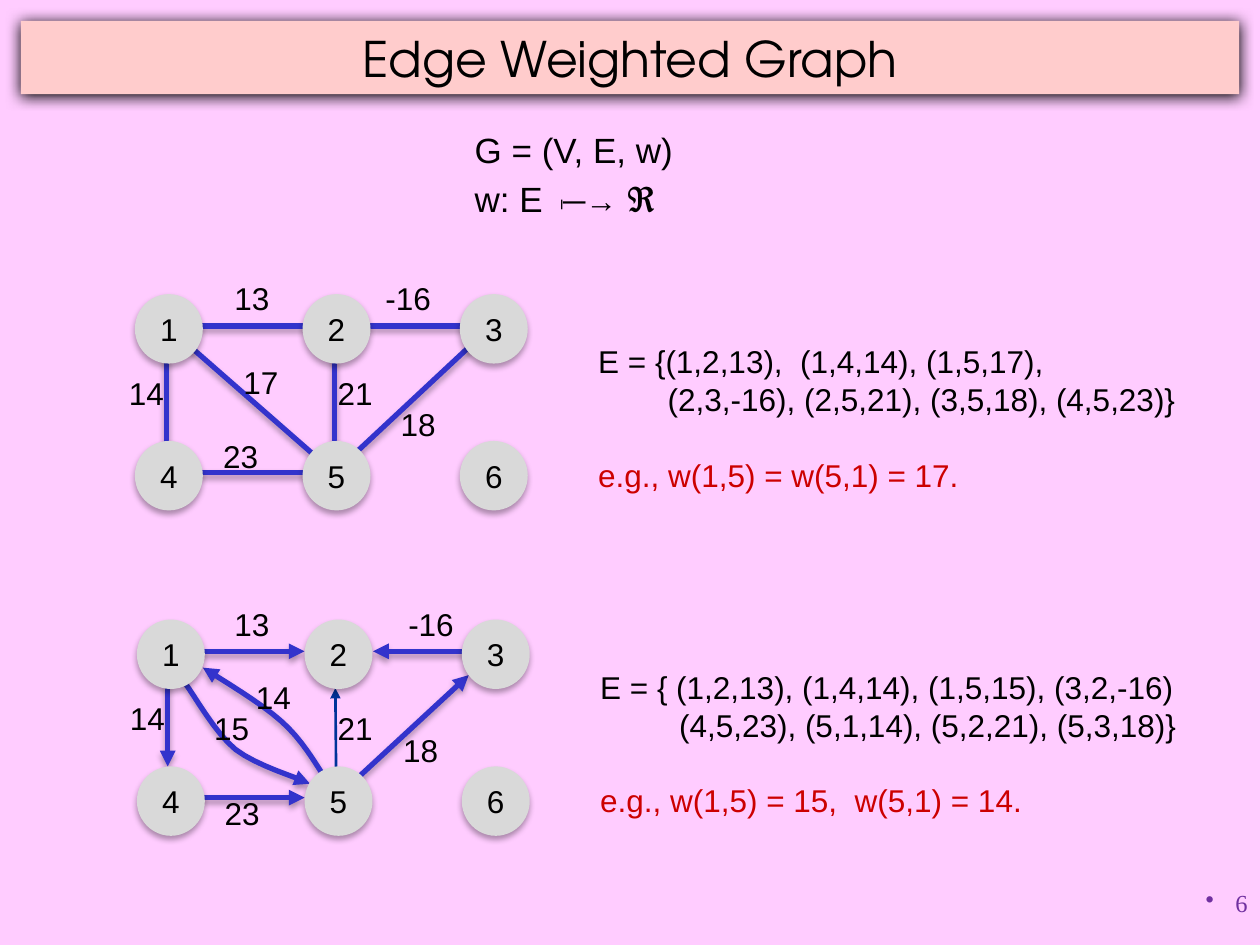
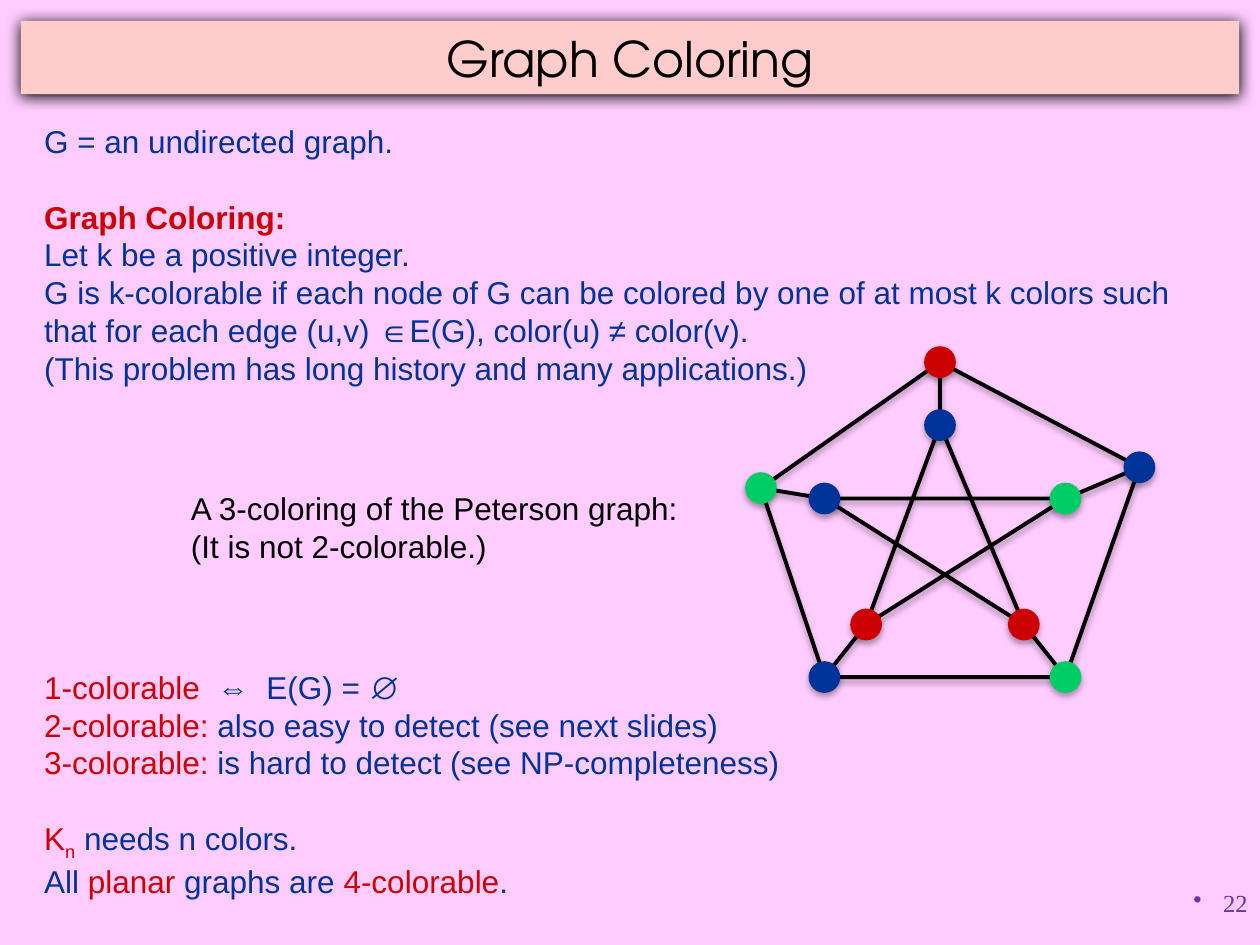
"""Build two slides on weighted graphs and graph coloring."""
from lxml import etree
from pptx import Presentation
from pptx.dml.color import RGBColor
from pptx.enum.shapes import MSO_CONNECTOR, MSO_SHAPE
from pptx.enum.text import MSO_ANCHOR, MSO_AUTO_SIZE, PP_ALIGN
from pptx.oxml.ns import qn
from pptx.util import Cm, Pt

STRAIGHT = MSO_CONNECTOR.STRAIGHT
OVAL = MSO_SHAPE.OVAL
MIDDLE = MSO_ANCHOR.MIDDLE
NO_AUTOFIT = MSO_AUTO_SIZE.NONE
LEFT, CENTER, RIGHT = PP_ALIGN.LEFT, PP_ALIGN.CENTER, PP_ALIGN.RIGHT

COLORS = {
    "background": "FFCCFF", "band": "FFCCCC", "node": "D9D9D9", "edge": "3333CC",
    "black": "000000", "red": "CC0000", "navy": "003399", "green": "00CC66",
    "purple": "7030A0",
}
BLANK_LINE = 21.5
SOFT_SHADOW = (32, 3.5, 2.2)
BAND_SHADOW = (100, 8.5, 1)


def write(shape, runs, size=18, font="Arial", color="black", bold=False, align=LEFT,
          wrap=False, before=0, indent=0, bullet=None):
    frame = shape.text_frame
    frame.word_wrap = wrap
    paragraph = frame.paragraphs[0]
    if paragraph.runs:
        paragraph = frame.add_paragraph()
    properties = paragraph._p.get_or_add_pPr()
    if indent:
        properties.set("marL", str(Cm(indent)))
    if bullet:
        properties.set("indent", str(-Cm(indent)))
        etree.SubElement(properties, qn("a:buChar")).set("char", bullet)
    paragraph.alignment = align
    if before:
        paragraph.space_before = Pt(before)
    for text, changes in [(runs, {})] if isinstance(runs, str) else runs:
        run = paragraph.add_run()
        run.text = text
        run.font.name = font
        run.font.size = Pt(changes.get("size", size))
        run.font.bold = changes.get("bold", bold)
        run.font.color.rgb = RGBColor.from_string(COLORS[changes.get("color", color)])
        if "baseline" in changes:
            run._r.get_or_add_rPr().set("baseline", str(changes["baseline"] * 1000))


def style(shape, fill=None, line=None, width=3, shadow=SOFT_SHADOW, arrow=False):
    if fill:
        shape.fill.solid()
        shape.fill.fore_color.rgb = RGBColor.from_string(COLORS[fill])
    if line:
        shape.line.color.rgb = RGBColor.from_string(COLORS[line])
        shape.line.width = Pt(width)
    else:
        shape.line.fill.background()
    properties = shape._element.spPr
    if arrow:
        etree.SubElement(properties.find(qn("a:ln")), qn("a:tailEnd")).set("type", "triangle")
    effects = etree.SubElement(properties, qn("a:effectLst"))
    if shadow:
        opacity, blur, distance = shadow
        outer = etree.SubElement(
            effects, qn("a:outerShdw"), blurRad=str(Pt(blur)), dist=str(Pt(distance)),
            dir="5400000", algn="ctr", rotWithShape="0")
        tint = etree.SubElement(outer, qn("a:srgbClr"), val=COLORS["black"])
        etree.SubElement(tint, qn("a:alpha"), val=str(opacity * 1000))


presentation = Presentation()
presentation.slide_width, presentation.slide_height = Cm(25.4), Cm(19.05)
background = presentation.slide_master.background.fill
background.solid()
background.fore_color.rgb = RGBColor.from_string(COLORS["background"])

slides = []
for heading, number in [("Edge Weighted Graph", "6"), ("Graph Coloring", "22")]:
    slide = presentation.slides.add_slide(presentation.slide_layouts[5])
    title = slide.shapes.title
    title.left, title.top, title.width, title.height = Cm(0.42), Cm(0.42), Cm(24.56), Cm(1.48)
    title.text_frame.auto_size = NO_AUTOFIT
    title.text_frame.vertical_anchor = MIDDLE
    style(title, fill="band", shadow=BAND_SHADOW)
    write(title, heading, size=28, font="TeX Gyre Adventor", align=CENTER, wrap=True)
    footer = slide.shapes.add_textbox(Cm(20.12), Cm(17.78), Cm(5.28), Cm(1.27))
    write(footer, number, size=14, font="Times New Roman", color="purple", align=RIGHT,
          wrap=True, indent=0.6, bullet="•")
    slides.append(slide)
weighted_slide, coloring_slide = slides

shapes = weighted_slide.shapes
definition = shapes.add_textbox(Cm(9.32), Cm(2.46), Cm(4.95), Cm(2.11))
write(definition, "G = (V, E, w)", size=20)
write(definition, [
    ("w: E", {"size": 20}), ("  ", {}), ("|", {"size": 10, "bold": True, "baseline": 26}),
    ("─→ ", {}), ("ℜ", {"size": 24})])

node_places = {
    str(row * 3 + column + 1): (left, top)
    for row, top in enumerate((5.93, 8.89))
    for column, left in enumerate((2.72, 6.1, 9.27))
}
undirected_edges = [
    [coordinate + 0.64 for node in pair for coordinate in node_places[node]]
    for pair in ("45", "35", "14", "15", "25", "23", "12")
]
directed_edges = [
    (3.38, 13.13, 6.14, 13.13), (9.95, 13.13, 7.52, 13.13), (3.38, 13.77, 3.38, 15.45),
    (3.38, 16.08, 6.14, 16.08), (6.78, 16.08, 9.45, 13.61),
]
for edges, arrow in [(undirected_edges, False), (directed_edges, True)]:
    for edge in edges:
        connector = shapes.add_connector(STRAIGHT, *[Cm(value) for value in edge])
        style(connector, line="edge", arrow=arrow)
thin_edge = shapes.add_connector(STRAIGHT, Cm(6.78), Cm(16.08), Cm(6.76), Cm(13.87))
style(thin_edge, line="navy", width=1.5, shadow=None, arrow=True)

curved_edges = [
    [(6.5, 15.6), (6.38, 15.42), (6.07, 14.88), (5.66, 14.53),
     (5.26, 14.17), (4.42, 13.67), (4.09, 13.46)],
    [(3.73, 13.77), (3.94, 14.05), (4.34, 14.78), (4.75, 15.11),
     (5.18, 15.44), (5.99, 15.67), (6.25, 15.8)],
]
for controls in curved_edges:
    points = []
    for start in (0, 3):
        for step in range(1, 9):
            t = step / 8
            weights = ((1 - t) ** 3, 3 * t * (1 - t) ** 2, 3 * t ** 2 * (1 - t), t ** 3)
            points.append([
                Cm(sum(weight * control[axis]
                       for weight, control in zip(weights, controls[start:start + 4])))
                for axis in (0, 1)])
    builder = shapes.build_freeform(Cm(controls[0][0]), Cm(controls[0][1]))
    builder.add_line_segments(points, close=False)
    curve = builder.convert_to_shape()
    curve.fill.background()
    style(curve, line="edge", arrow=True)

for shift_right, shift_down in [(0, 0), (0.04, 6.56)]:
    for label, (left, top) in node_places.items():
        node = shapes.add_shape(
            OVAL, Cm(left + shift_right), Cm(top + shift_down), Cm(1.37), Cm(1.4))
        style(node, fill="node")
        node.text_frame.vertical_anchor = MIDDLE
        write(node, label, align=CENTER)

edge_weights = [
    ("13", 5.08, 5.51), ("-16", 8.23, 5.51), ("14", 2.95, 7.42), ("17", 5.26, 7.19),
    ("23", 4.85, 8.69), ("21", 7.16, 7.42), ("18", 8.43, 8.05),
    ("13", 5.08, 12.07), ("-16", 8.69, 12.07), ("14", 5.51, 13.54), ("15", 4.67, 14.17),
    ("14", 2.97, 13.97), ("23", 4.88, 15.88), ("21", 7.16, 14.17), ("18", 8.48, 14.61),
]
for weight, middle, top in edge_weights:
    label = shapes.add_textbox(Cm(middle - 0.9), Cm(top), Cm(1.8), Cm(1.02))
    write(label, weight, align=CENTER)

edge_sets = [
    (11.81, 6.78, 1.4, "E = {(1,2,13),  (1,4,14), (1,5,17),",
     "(2,3,-16), (2,5,21), (3,5,18), (4,5,23)}", "e.g., w(1,5) = w(5,1) = 17."),
    (11.85, 13.34, 1.59, "E = { (1,2,13), (1,4,14), (1,5,15), (3,2,-16)",
     "(4,5,23), (5,1,14), (5,2,21), (5,3,18)}", "e.g., w(1,5) = 15,  w(5,1) = 14."),
]
for left, top, indent, first_line, second_line, example in edge_sets:
    edge_set = shapes.add_textbox(Cm(left), Cm(top), Cm(12.8), Cm(3.3))
    write(edge_set, first_line)
    write(edge_set, second_line, indent=indent)
    write(edge_set, example, color="red", before=BLANK_LINE)

shapes = coloring_slide.shapes
explanation = shapes.add_textbox(Cm(0.64), Cm(2.34), Cm(23.32), Cm(5.59))
write(explanation, "G = an undirected graph.", color="navy", wrap=True)
write(explanation, "Graph Coloring:", color="red", bold=True, wrap=True, before=BLANK_LINE)
for sentence in (
    "Let k be a positive integer.",
    "G is k-colorable if each node of G can be colored by one of at most k colors such "
    "that for each edge (u,v) ∈E(G), color(u) ≠ color(v).",
    "(This problem has long history and many applications.)",
):
    write(explanation, sentence, color="navy", wrap=True)

outer_nodes = [
    (18.95, 7.3, "red"), (22.97, 9.42, "navy"), (21.48, 13.65, "green"),
    (16.62, 13.65, "navy"), (15.34, 9.84, "green"),
]
inner_nodes = [
    (18.95, 8.57, "navy"), (21.48, 10.05, "green"), (20.64, 12.59, "red"),
    (17.46, 12.59, "red"), (16.62, 10.05, "navy"),
]
for nodes, stride in [(outer_nodes, 1), (inner_nodes, 2)]:
    corners = [[Cm(value) for value in nodes[index * stride % 5][:2]] for index in range(5)]
    builder = shapes.build_freeform(*corners[0])
    builder.add_line_segments(corners[1:], close=True)
    cycle = builder.convert_to_shape()
    cycle.fill.background()
    style(cycle, line="black", width=2.25)
for outer_node, inner_node in zip(outer_nodes, inner_nodes):
    ends = [Cm(value) for value in outer_node[:2] + inner_node[:2]]
    style(shapes.add_connector(STRAIGHT, *ends), line="black", width=2.25)
for x, y, color in outer_nodes + inner_nodes:
    node = shapes.add_shape(OVAL, Cm(x - 0.32), Cm(y - 0.32), Cm(0.64), Cm(0.64))
    style(node, fill=color)

caption = shapes.add_textbox(Cm(3.6), Cm(9.74), Cm(10.8), Cm(1.78))
write(caption, "A 3-coloring of the Peterson graph:")
write(caption, "(It is not 2-colorable.)")

red = {"color": "red"}
facts = shapes.add_textbox(Cm(0.64), Cm(13.34), Cm(17), Cm(4.83))
for runs, before in [
    ([("1-colorable  ", red), ("⇔  E(G) = ∅", {})], 0),
    ([("2-colorable:", red), (" also easy to detect (see next slides)", {})], 0),
    ([("3-colorable:", red), (" is hard to detect (see NP-completeness)", {})], 0),
    ([("K", red), ("n", {"color": "red", "baseline": -25}), (" needs n colors.", {})],
     BLANK_LINE),
    ([("All ", {}), ("planar", red), (" graphs are ", {}), ("4-colorable", red), (".", {})], 0),
]:
    write(facts, runs, color="navy", before=before)

presentation.save("out.pptx")
